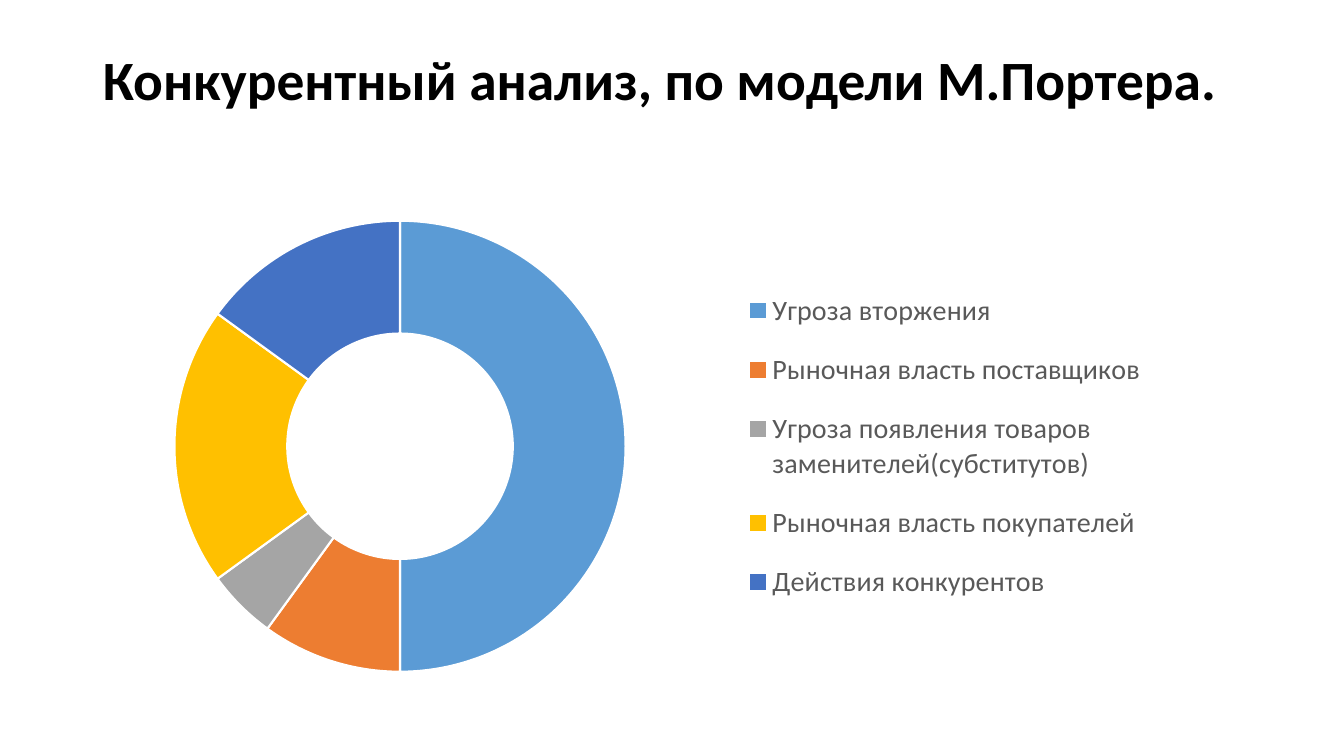
from lxml.etree import SubElement
from pptx import Presentation
from pptx.chart.data import CategoryChartData
from pptx.dml.color import RGBColor
from pptx.enum.chart import XL_CHART_TYPE, XL_LEGEND_POSITION
from pptx.enum.text import MSO_ANCHOR, PP_ALIGN
from pptx.oxml.ns import qn
from pptx.util import Inches, Pt

FONT = "Calibri"
COLORS = {"title": "000000", "legend": "595959", "border": "FFFFFF"}
FORCES = {
    "Угроза вторжения": (50, "5B9BD5"),
    "Рыночная власть поставщиков": (10, "ED7D31"),
    "Угроза появления товаров заменителей(субститутов)": (5, "A5A5A5"),
    "Рыночная власть покупателей": (20, "FFC000"),
    "Действия конкурентов": (15, "4472C4"),
}


def style_font(font, size, color, bold=False):
    """Apply the slide's typeface with a size, colour and weight."""
    font.name = FONT
    font.size = Pt(size)
    font.bold = bold
    font.color.rgb = RGBColor.from_string(color)


def set_layout(region, position, box, target=None):
    """Give a chart region a manual layout in fractions of the chart area."""
    for old_layout in region.findall(qn("c:layout")):
        region.remove(old_layout)
    layout = SubElement(region, qn("c:layout"))
    region.insert(position, layout)
    manual = SubElement(layout, qn("c:manualLayout"))
    if target:
        SubElement(manual, qn("c:layoutTarget")).set("val", target)
    for mode in ("xMode", "yMode"):
        SubElement(manual, qn(f"c:{mode}")).set("val", "edge")
    for key, fraction in zip("xywh", box):
        SubElement(manual, qn(f"c:{key}")).set("val", str(fraction))


def add_heading(slide, left, top, width, height):
    """Place the slide title in the given box."""
    heading = slide.shapes.title
    heading.left, heading.top = Inches(left), Inches(top)
    heading.width, heading.height = Inches(width), Inches(height)
    frame = heading.text_frame
    frame.text = "Конкурентный анализ, по модели М.Портера."
    frame.word_wrap = True
    frame.vertical_anchor = MSO_ANCHOR.TOP
    frame.margin_top = Inches(0.12)
    paragraph = frame.paragraphs[0]
    paragraph.alignment = PP_ALIGN.LEFT
    paragraph.line_spacing = 0.9
    style_font(paragraph.runs[0].font, 39.6, COLORS["title"], bold=True)


def add_forces_chart(slide, left, top, width, height):
    """Place the doughnut of competitive forces and its legend in the box."""
    forces_data = CategoryChartData()
    forces_data.categories = list(FORCES)
    forces_data.add_series("Series 1", [share for share, _ in FORCES.values()])
    chart = slide.shapes.add_chart(
        XL_CHART_TYPE.DOUGHNUT, Inches(left), Inches(top),
        Inches(width), Inches(height), forces_data).chart
    chart.has_title = False
    style_font(chart.font, 10, COLORS["title"])

    doughnut = chart.plots[0]
    doughnut.vary_by_categories = True
    doughnut._element.find(qn("c:holeSize")).set("val", "62")
    for index, (_, color) in enumerate(FORCES.values()):
        slice_format = doughnut.series[0].points[index].format
        slice_format.fill.solid()
        slice_format.fill.fore_color.rgb = RGBColor.from_string(color)
        slice_format.line.color.rgb = RGBColor.from_string(COLORS["border"])
        slice_format.line.width = Pt(1.5)

    plot_area = chart._chartSpace.chart.plotArea
    set_layout(plot_area, 0, (0.07, 0.04, 0.39, 0.94), "inner")

    chart.has_legend = True
    legend = chart.legend
    legend.position = XL_LEGEND_POSITION.RIGHT
    legend.include_in_layout = False
    style_font(legend.font, 20, COLORS["legend"])
    set_layout(legend._element, 1, (0.55, 0.14, 0.37, 0.74))


def main():
    """Build the slide and save the presentation."""
    presentation = Presentation()
    presentation.slide_width = Inches(13.33)
    presentation.slide_height = Inches(7.5)
    slide = presentation.slides.add_slide(presentation.slide_layouts[5])
    add_heading(slide, 0.92, 0.4, 11.5, 1.45)
    add_forces_chart(slide, 0.92, 2, 11.5, 4.76)
    presentation.save("out.pptx")


if __name__ == "__main__":
    main()
